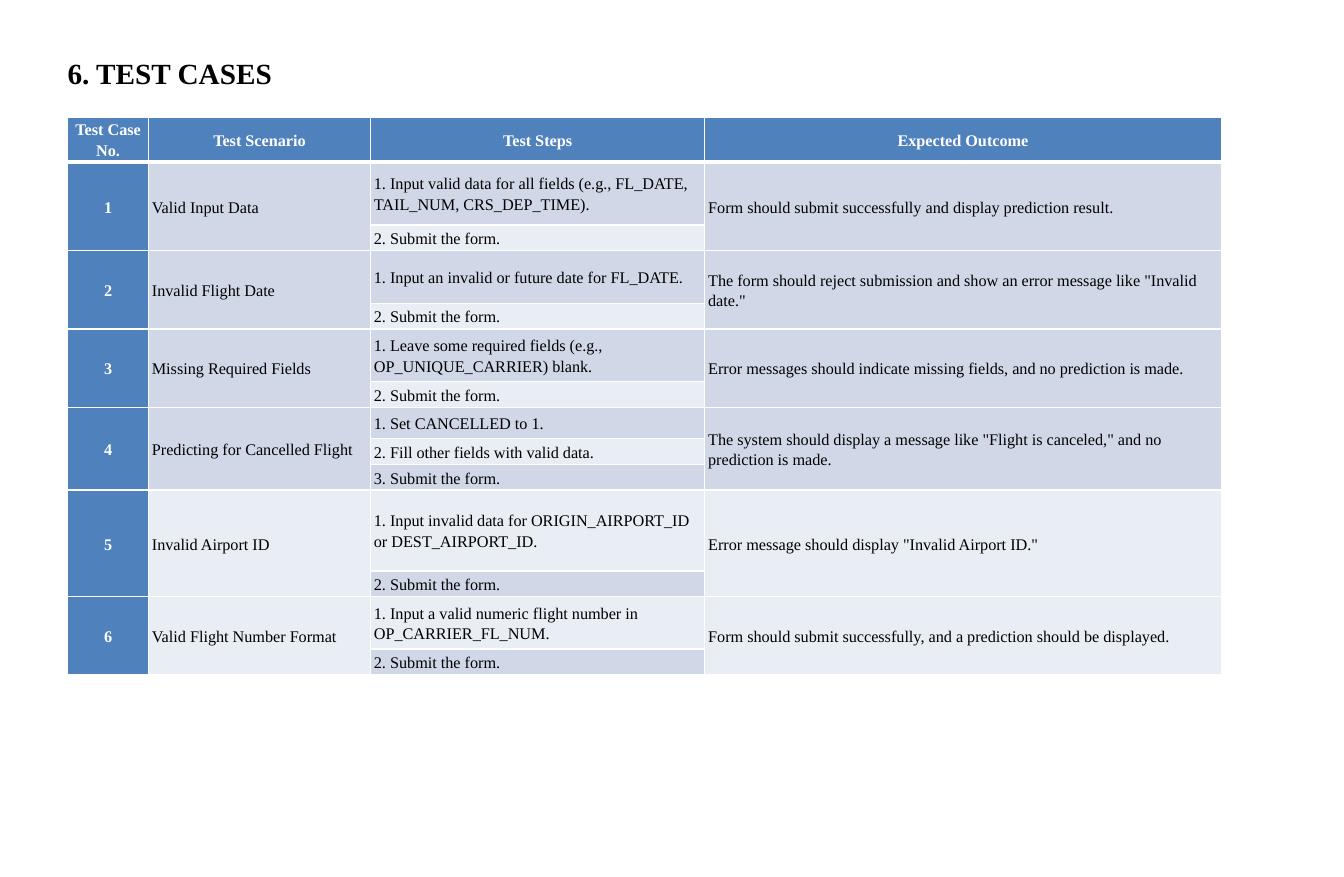
from lxml.etree import SubElement
from pptx import Presentation
from pptx.dml.color import RGBColor
from pptx.enum.text import MSO_ANCHOR as Anchor, MSO_AUTO_SIZE as AutoSize, PP_ALIGN as Align
from pptx.oxml.ns import qn
from pptx.util import Inches, Pt

FONT = "Times New Roman"
BLACK = RGBColor(0x00, 0x00, 0x00)
WHITE = RGBColor(0xFF, 0xFF, 0xFF)
BLUE = RGBColor(0x4F, 0x81, 0xBD)
BAND_DARK = RGBColor(0xD0, 0xD8, 0xE8)
BAND_LIGHT = RGBColor(0xE9, 0xED, 0xF4)

COLUMN_WIDTHS = [0.69, 1.9, 2.86, 4.42]
HEADER_HEIGHT = 0.36
STEP_HEIGHT = 0.22
HEADERS = ["Test Case No.", "Test Scenario", "Test Steps", "Expected Outcome"]
SUBMIT = "Submit the form."

# Scenario, height of the first step's row, steps, expected outcome
CASES = [
    ("Valid Input Data", 0.54,
     ["Input valid data for all fields (e.g., FL_DATE, TAIL_NUM, CRS_DEP_TIME).", SUBMIT],
     "Form should submit successfully and display prediction result."),
    ("Invalid Flight Date", 0.45,
     ["Input an invalid or future date for FL_DATE.", SUBMIT],
     'The form should reject submission and show an error message like "Invalid date."'),
    ("Missing Required Fields", 0.45,
     ["Leave some required fields (e.g., OP_UNIQUE_CARRIER) blank.", SUBMIT],
     "Error messages should indicate missing fields, and no prediction is made."),
    ("Predicting for Cancelled Flight", 0.27,
     ["Set CANCELLED to 1.", "Fill other fields with valid data.", SUBMIT],
     'The system should display a message like "Flight is canceled," and no prediction is made.'),
    ("Invalid Airport ID", 0.69,
     ["Input invalid data for ORIGIN_AIRPORT_ID or DEST_AIRPORT_ID.", SUBMIT],
     'Error message should display "Invalid Airport ID."'),
    ("Valid Flight Number Format", 0.45,
     ["Input a valid numeric flight number in OP_CARRIER_FL_NUM.", SUBMIT],
     "Form should submit successfully, and a prediction should be displayed."),
]


def write_text(frame, text, size=10, color=BLACK, bold=False, align=Align.LEFT,
               line_spacing=None, space_after=None):
    paragraph = frame.paragraphs[0]
    paragraph.alignment = align
    paragraph.line_spacing = line_spacing
    paragraph.space_after = space_after
    run = paragraph.add_run()
    run.text = text
    run.font.name = FONT
    run.font.size = Pt(size)
    run.font.bold = bold
    run.font.color.rgb = color


def set_borders(cell, top=1, bottom=1):
    """White borders, with widths in points."""
    properties = cell._tc.get_or_add_tcPr()
    for side, width in (("L", 1), ("R", 1), ("T", top), ("B", bottom)):
        line = SubElement(properties, qn(f"a:ln{side}"), w=str(Pt(width)))
        fill = SubElement(line, qn("a:solidFill"))
        SubElement(fill, qn("a:srgbClr"), val=str(WHITE))


def style_cell(cell, fill, **borders):
    set_borders(cell, **borders)
    cell.fill.solid()
    cell.fill.fore_color.rgb = fill
    cell.vertical_anchor = Anchor.MIDDLE
    cell.margin_left = cell.margin_right = Inches(0.03)
    cell.margin_top = cell.margin_bottom = 0


def write_cell(cell, text, heading=False):
    look = dict(color=WHITE, bold=True, align=Align.CENTER) if heading else {}
    write_text(cell.text_frame, text, line_spacing=1.15, space_after=Pt(10), **look)


def add_title(slide, left, top, width, height):
    box = slide.shapes.add_textbox(Inches(left), Inches(top), Inches(width), Inches(height))
    frame = box.text_frame
    frame.word_wrap = True
    frame.auto_size = AutoSize.SHAPE_TO_FIT_TEXT
    write_text(frame, "6. TEST CASES", size=18, bold=True)


def add_test_table(slide, left, top):
    heights = [HEADER_HEIGHT]
    for _, first_height, steps, _ in CASES:
        heights += [first_height] + [STEP_HEIGHT] * (len(steps) - 1)
    table = slide.shapes.add_table(
        len(heights), len(HEADERS), Inches(left), Inches(top),
        Inches(sum(COLUMN_WIDTHS)), Inches(sum(heights))).table
    for column, width in zip(table.columns, COLUMN_WIDTHS):
        column.width = Inches(width)
    for row, height in zip(table.rows, heights):
        row.height = Inches(height)

    # Fills and borders: blue header and number column, banded rows
    for r in range(len(heights)):
        for c in range(len(HEADERS)):
            band = BAND_DARK if r % 2 else BAND_LIGHT
            style_cell(table.cell(r, c), BLUE if r == 0 or c == 0 else band,
                       top=3 if r == 1 else 1, bottom=3 if r == 0 else 1)

    # Header row
    for c, header in enumerate(HEADERS):
        write_cell(table.cell(0, c), header, heading=True)

    # One block of rows for each test case
    first = 1
    for number, (scenario, _, steps, outcome) in enumerate(CASES, 1):
        last = first + len(steps) - 1
        for c, text in ((0, str(number)), (1, scenario), (3, outcome)):
            table.cell(first, c).merge(table.cell(last, c))
            write_cell(table.cell(first, c), text, heading=c == 0)
        for i, step in enumerate(steps):
            write_cell(table.cell(first + i, 2), f"{i + 1}. {step}")
        first = last + 1


def main():
    presentation = Presentation()
    presentation.slide_width = Inches(11.5)
    presentation.slide_height = Inches(7.5)
    slide = presentation.slides.add_slide(presentation.slide_layouts[6])
    add_title(slide, 0.48, 0.42, 2.97, 0.4)
    add_test_table(slide, 0.58, 1)
    presentation.save("out.pptx")


if __name__ == "__main__":
    main()
